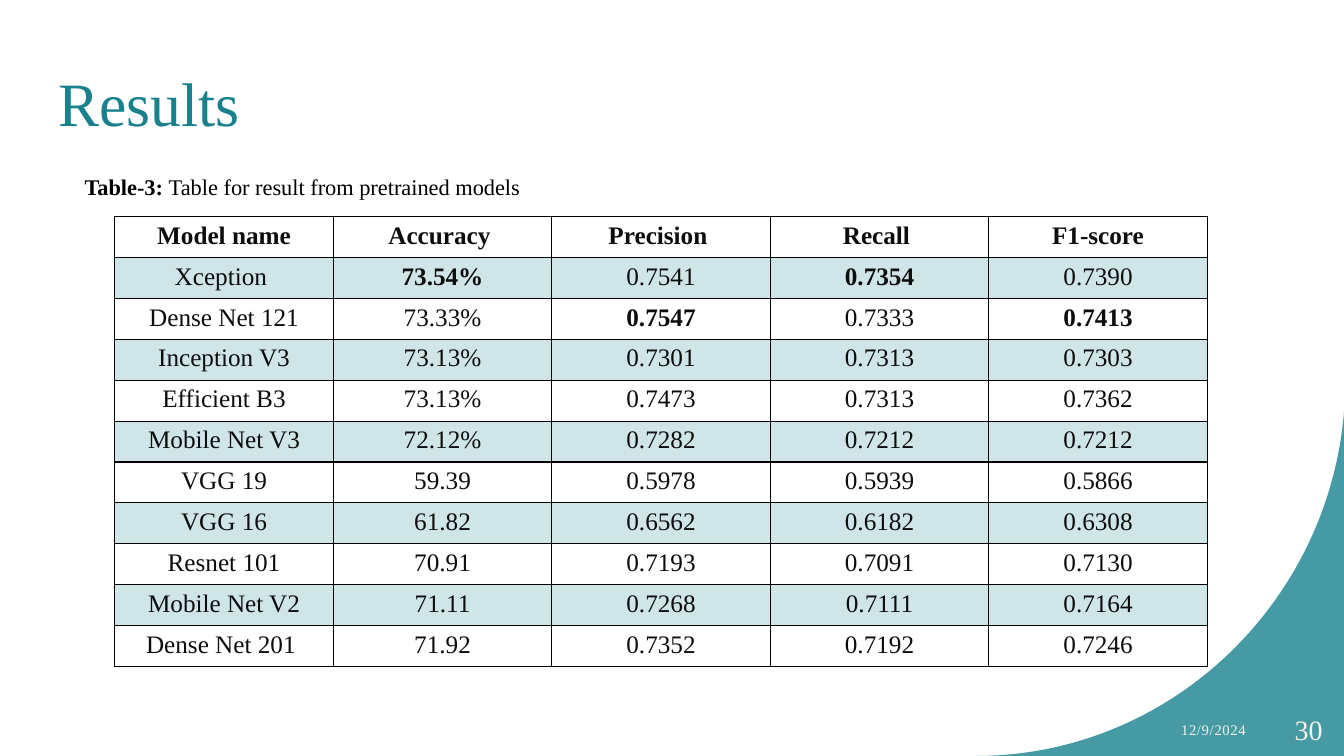
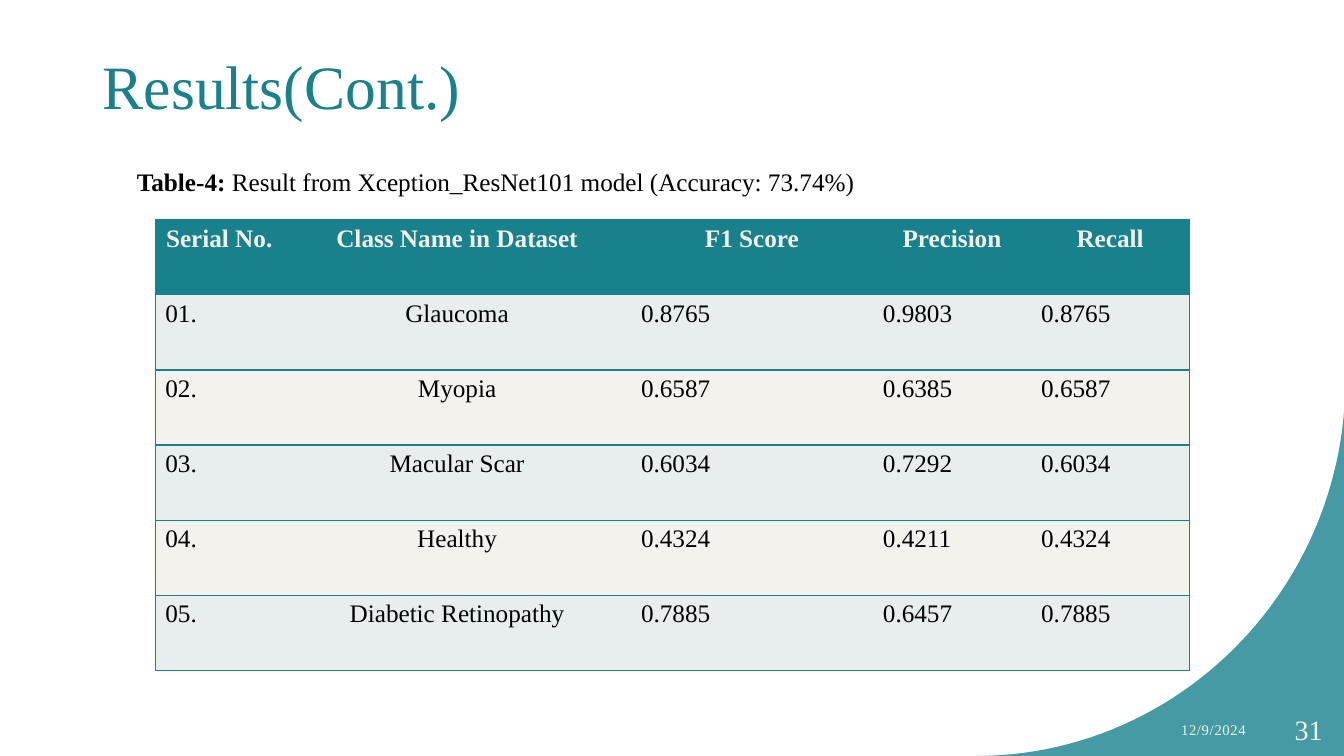
"""Build two slides of model results, each with a title, a caption and a table."""
import dataclasses
import typing

import lxml.etree
import pptx
import pptx.dml.color
import pptx.enum.text
import pptx.oxml.ns
import pptx.util

Pt = pptx.util.Pt
Align = pptx.enum.text.PP_ALIGN
Anchor = pptx.enum.text.MSO_ANCHOR
Fit = pptx.enum.text.MSO_AUTO_SIZE
qn = pptx.oxml.ns.qn


@dataclasses.dataclass(frozen=True)
class Theme:
    font: str = "Times New Roman"
    teal: str = "18818C"
    cream: str = "F4F2EC"
    mist: str = "E8EDEE"
    ink: str = "0D0D0D"
    black: str = "000000"
    title: float = 44
    page: float = 20
    body: float = 18
    small: float = 16
    date: float = 10.5
    corner: int = 80
    band: int = 20
    plain: str = "{2D5ABB26-0587-4C30-8999-92F81FD0307C}"


THEME = Theme()


class Box(typing.NamedTuple):
    left: float
    top: float
    width: float
    height: float

    def lengths(self) -> list:
        return [Pt(side) for side in self]


class Look(typing.NamedTuple):
    ink: str
    bold: bool = False
    fill: str = ""
    alpha: int = 100
    align: typing.Any = Align.CENTER


class Grid(typing.NamedTuple):
    box: Box
    widths: list[float]
    rows: list[list[str]]
    line: str
    inner: bool
    style: typing.Callable


class Page(typing.NamedTuple):
    title: str
    place: Box
    label: str
    text: str
    size: float
    spot: Box
    wrap: bool
    number: str
    grid: Grid


def format_run(run, size: float, ink: str, bold: bool = False) -> None:
    run.font.name = THEME.font
    run.font.size = Pt(size)
    run.font.bold = bold
    run.font.color.rgb = pptx.dml.color.RGBColor.from_string(ink)


def paint(fill, node, ink: str, alpha: int) -> None:
    fill.solid()
    fill.fore_color.rgb = pptx.dml.color.RGBColor.from_string(ink)
    if alpha < 100:
        tone = next(node.iter(qn("a:srgbClr")))
        lxml.etree.SubElement(tone, qn("a:alpha"), val=str(alpha * 1000))


def draw_corner(slide) -> None:
    curve = [(697, 540), (833.8, 540), (946.8, 433.4), (959.8, 297.4)]
    steps = 48
    points = []
    for step in range(steps + 1):
        t = step / steps
        parts = ((1 - t) ** 3, 3 * t * (1 - t) ** 2, 3 * t * t * (1 - t), t ** 3)
        points.append(tuple(Pt(sum(part * spot[axis] for part, spot in zip(parts, curve)))
                            for axis in (0, 1)))
    points += [(Pt(960), Pt(293.8)), (Pt(960), Pt(540))]
    maker = slide.shapes.build_freeform(*points[0])
    maker.add_line_segments(points[1:], close=True)
    shape = maker.convert_to_shape()
    shape.shadow.inherit = False
    paint(shape.fill, shape.element.spPr, THEME.teal, THEME.corner)
    shape.line.fill.background()


def draw_footer(slide, box: Box, text: str, size: float, gap: int = 0) -> None:
    frame = slide.shapes.add_textbox(*box.lengths()).text_frame
    frame.word_wrap = True
    frame.vertical_anchor = Anchor.MIDDLE
    frame.text = text
    line = frame.paragraphs[0]
    line.alignment = Align.RIGHT
    format_run(line.runs[0], size, THEME.cream)
    if gap:
        line.runs[0].font._element.set("spc", str(gap))


def draw_title(slide, page: Page) -> None:
    shape = slide.shapes.title
    shape.left, shape.top, shape.width, shape.height = page.place.lengths()
    frame = shape.text_frame
    frame.text = page.title
    frame.auto_size = Fit.NONE
    frame.vertical_anchor = Anchor.MIDDLE
    frame.paragraphs[0].alignment = Align.LEFT
    format_run(frame.paragraphs[0].runs[0], THEME.title, THEME.teal)


def draw_label(slide, page: Page) -> None:
    frame = slide.shapes.add_textbox(*page.spot.lengths()).text_frame
    frame.word_wrap = page.wrap
    frame.auto_size = Fit.SHAPE_TO_FIT_TEXT
    for text, bold in ((page.label, True), (page.text, False)):
        run = frame.paragraphs[0].add_run()
        run.text = text
        format_run(run, page.size, THEME.black, bold)


def draw_edges(cell, sides: str, ink: str) -> None:
    props = cell._tc.get_or_add_tcPr()
    for place, side in enumerate(sides):
        edge = lxml.etree.Element(qn("a:ln" + side), w=str(Pt(1)))
        fill = lxml.etree.SubElement(edge, qn("a:solidFill"))
        lxml.etree.SubElement(fill, qn("a:srgbClr"), val=ink)
        props.insert(place, edge)


def draw_grid(slide, grid: Grid) -> None:
    count, last = len(grid.rows), len(grid.widths) - 1
    table = slide.shapes.add_table(count, last + 1, *grid.box.lengths()).table
    table.first_row = table.horz_banding = False
    table._tbl.tblPr.find(qn("a:tableStyleId")).text = THEME.plain
    for column, width in zip(table.columns, grid.widths):
        column.width = Pt(width)
    for r, row in enumerate(grid.rows):
        table.rows[r].height = Pt(grid.box.height / count)
        for c, text in enumerate(row):
            cell = table.cell(r, c)
            look = grid.style(grid.rows, r, c)
            cell.text_frame.text = text
            line = cell.text_frame.paragraphs[0]
            line.alignment = look.align
            format_run(line.runs[0], THEME.body, look.ink, look.bold)
            if look.fill:
                paint(cell.fill, cell._tc.tcPr, look.fill, look.alpha)
            else:
                cell.fill.background()
            left = "L" if grid.inner or c == 0 else ""
            right = "R" if grid.inner or c == last else ""
            draw_edges(cell, left + right + "TB", grid.line)


def style_models(rows: list, r: int, c: int) -> Look:
    best = c > 0 and rows[r][c] == max(row[c] for row in rows[1:])
    fill = THEME.teal if r % 2 else ""
    return Look(THEME.ink, r == 0 or best, fill, THEME.band)


def style_classes(rows: list, r: int, c: int) -> Look:
    if r == 0:
        return Look(THEME.cream, True, THEME.teal)
    fill = THEME.mist if r % 2 else THEME.cream
    return Look(THEME.black, False, fill, align=Align.CENTER if c == 1 else Align.LEFT)


MODELS = [
    ["Model name", "Accuracy ", "Precision ", "Recall ", "F1-score"],
    ["Xception ", "73.54%", "0.7541", "0.7354", "0.7390"],
    ["Dense Net 121", "73.33%", "0.7547", "0.7333", "0.7413"],
    ["Inception V3", "73.13%", "0.7301", "0.7313", "0.7303"],
    ["Efficient B3", "73.13%", "0.7473", "0.7313", "0.7362"],
    ["Mobile Net V3", "72.12%", "0.7282", "0.7212", "0.7212"],
    ["VGG 19", "59.39", "0.5978", "0.5939", "0.5866"],
    ["VGG 16", "61.82", "0.6562", "0.6182", "0.6308"],
    ["Resnet 101", "70.91", "0.7193", "0.7091", "0.7130"],
    ["Mobile Net V2", "71.11", "0.7268", "0.7111", "0.7164"],
    ["Dense Net 201 ", "71.92", "0.7352", "0.7192", "0.7246"],
]
CLASSES = [
    ["Serial No.", "Class Name in Dataset", "F1 Score", "Precision", "Recall"],
    ["01.", "Glaucoma", "0.8765", "0.9803", "0.8765"],
    ["02.", "Myopia", "0.6587", "0.6385", "0.6587"],
    ["03.", "Macular Scar", "0.6034", "0.7292", "0.6034"],
    ["04.", "Healthy", "0.4324", "0.4211", "0.4324"],
    ["05.", "Diabetic Retinopathy", "0.7885", "0.6457", "0.7885"],
]
PAGES = [
    Page("Results", Box(34.6, 20.2, 780.5, 104.4),
         "Table-3: ", "Table for result from pretrained models", THEME.small,
         Box(53.3, 120.2, 330.5, 26.6), False, "30",
         Grid(Box(82, 154.8, 780.5, 321.2), [156.1] * 5, MODELS,
              THEME.black, True, style_models)),
    Page("Results(Cont.)", Box(66.2, 22.3, 330.5, 77),
         "Table-4: ", "Result from Xception_ResNet101 model (Accuracy: 73.74%)", THEME.body,
         Box(90.7, 115.2, 584.6, 28.8), True, "31",
         Grid(Box(110.9, 157, 738.7, 321.8), [91.4, 248.4, 172.8, 113, 113], CLASSES,
              THEME.teal, False, style_classes)),
]


def main() -> None:
    deck = pptx.Presentation()
    deck.slide_width, deck.slide_height = Pt(960), Pt(540)
    for page in PAGES:
        slide = deck.slides.add_slide(deck.slide_layouts[5])
        draw_corner(slide)
        draw_title(slide, page)
        draw_grid(slide, page.grid)
        draw_footer(slide, Box(734.4, 506.9, 162.7, 28.8), "12/9/2024", THEME.date, 50)
        draw_footer(slide, Box(897.1, 506.9, 54.7, 28.8), page.number, THEME.page)
        draw_label(slide, page)
    deck.save("out.pptx")


if __name__ == "__main__":
    main()
